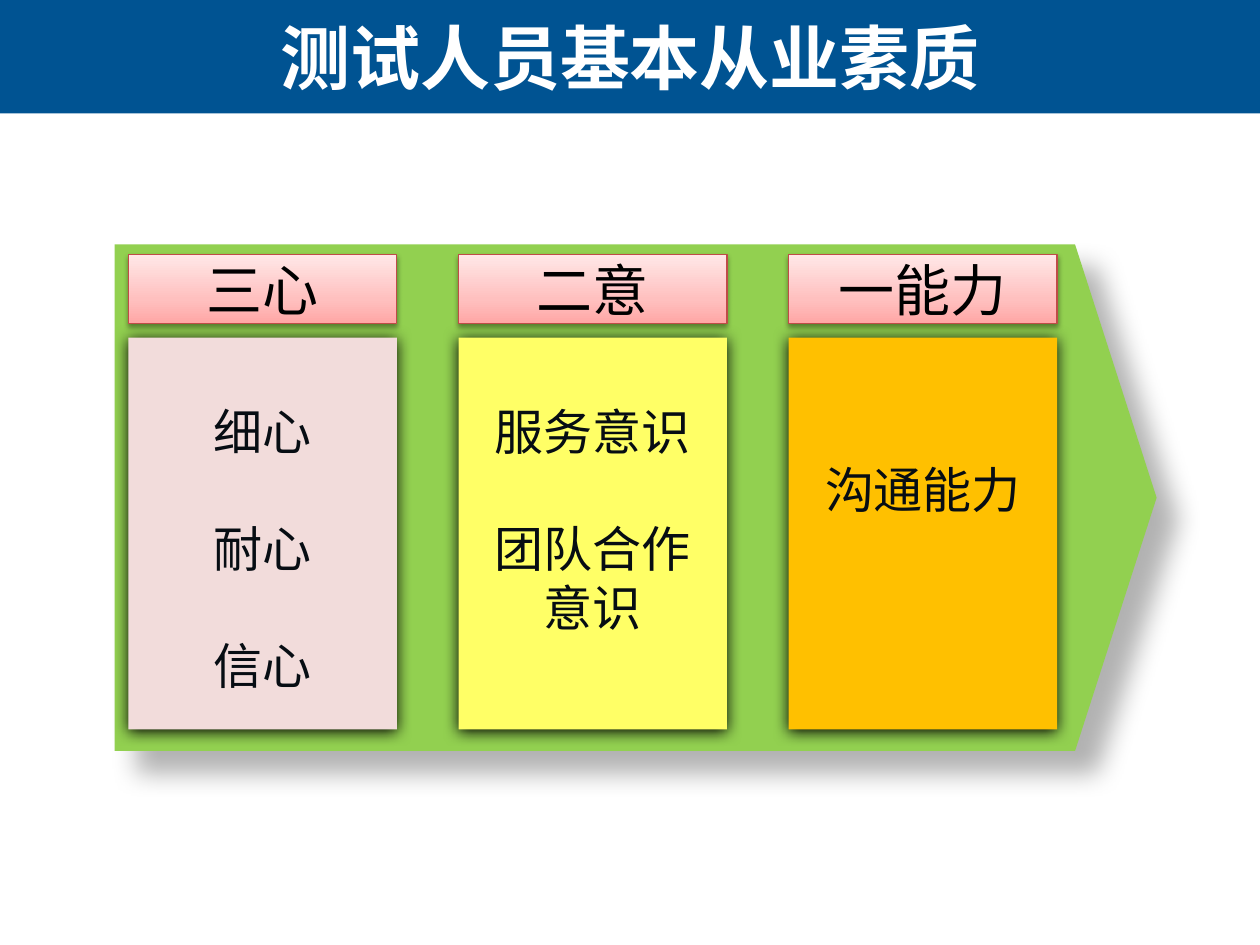
from copy import deepcopy
from dataclasses import dataclass

from lxml.etree import SubElement
from pptx import Presentation
from pptx.dml.color import RGBColor
from pptx.enum.shapes import MSO_SHAPE
from pptx.enum.text import MSO_ANCHOR, PP_ALIGN
from pptx.oxml.ns import qn
from pptx.util import Inches, Pt


@dataclass(frozen=True)
class Shadow:
    opacity: int
    blur: float
    distance: float
    angle: int


@dataclass(frozen=True)
class Theme:
    background: str = "FFFFFF"
    band: str = "005392"
    title: str = "FFFFFF"
    arrow: str = "92D050"
    header_stops: tuple = ((0, "FFA6A5"), (0.35, "FFC0BF"), (1, "FFE7E7"))
    header_line: str = "BF4C48"
    header_text: str = "000000"
    body_text: str = "070D13"
    title_font: str = "Arial"
    header_font: str = "Noto Sans CJK SC"
    body_font: str = "Calibri"
    title_size: int = 40
    header_size: int = 32
    body_size: int = 28
    arrow_shadow: Shadow = Shadow(30, 15, 18, 45)
    header_shadow: Shadow = Shadow(38, 3.1, 1.6, 90)
    panel_shadow: Shadow = Shadow(100, 8.5, 1, 90)


THEME = Theme()
BAND_HEIGHT = 0.9
COLUMN_LEFT, COLUMN_STEP, COLUMN_WIDTH = 1.02, 2.62, 2.13
LINE_HEIGHT = 0.46
COLUMNS = (
    ("三心", "F2DCDB", (("细心",), ("耐心",), ("信心",)), 1),
    ("二意", "FFFF66", (("服务意识",), ("团队合作", "意识")), 1),
    ("一能力", "FFC000", (("沟通能力",),), 2),
)


def add_block(slide, preset, left, top, width, height, color=None):
    shape = slide.shapes.add_shape(
        preset, Inches(left), Inches(top), Inches(width), Inches(height))
    if color:
        shape.fill.solid()
        shape.fill.fore_color.rgb = RGBColor.from_string(color)
    shape.line.fill.background()
    shape.shadow.inherit = False
    return shape


def cast_shadow(shape, shadow):
    effects = shape._element.spPr.find(qn("a:effectLst"))
    outer = SubElement(
        effects, qn("a:outerShdw"), blurRad=str(Pt(shadow.blur)),
        dist=str(Pt(shadow.distance)), dir=str(shadow.angle * 60000),
        algn="ctr", rotWithShape="0")
    color = SubElement(outer, qn("a:srgbClr"), val="000000")
    SubElement(color, qn("a:alpha"), val=str(shadow.opacity * 1000))


def fill_gradient(shape, stops):
    shape.fill.gradient()
    shape.fill.gradient_angle = 90
    stop_list = shape._element.spPr.find(".//" + qn("a:gsLst"))
    stop_list.insert(1, deepcopy(stop_list[0]))
    for stop, (position, color) in zip(shape.fill.gradient_stops, stops):
        stop.position = position
        stop.color.rgb = RGBColor.from_string(color)


def add_text(paragraph, text, font, size, color, bold=False):
    paragraph.alignment = PP_ALIGN.CENTER
    run = paragraph.add_run()
    run.text = text
    run.font.name = font
    run.font.size = Pt(size)
    run.font.bold = bold
    run.font.color.rgb = RGBColor.from_string(color)


def add_title(slide, text):
    band = add_block(slide, MSO_SHAPE.RECTANGLE, 0, 0, 10, BAND_HEIGHT, THEME.band)
    title = slide.shapes.title
    title._element.addprevious(band._element)
    title.left, title.top = Inches(0), Inches(0)
    title.width, title.height = Inches(10), Inches(BAND_HEIGHT)
    title.text_frame.vertical_anchor = MSO_ANCHOR.MIDDLE
    add_text(title.text_frame.paragraphs[0], text, THEME.title_font,
             THEME.title_size, THEME.title, bold=True)


def add_arrow(slide):
    arrow = add_block(slide, MSO_SHAPE.PENTAGON, 0.91, 1.94, 8.27, 4.02, THEME.arrow)
    arrow.adjustments[0] = 0.161
    cast_shadow(arrow, THEME.arrow_shadow)


def add_header(slide, left, text):
    header = add_block(slide, MSO_SHAPE.RECTANGLE, left, 2.02, COLUMN_WIDTH, 0.55)
    fill_gradient(header, THEME.header_stops)
    header.line.color.rgb = RGBColor.from_string(THEME.header_line)
    header.line.width = Pt(0.75)
    cast_shadow(header, THEME.header_shadow)
    frame = header.text_frame
    frame.word_wrap = False
    frame.vertical_anchor = MSO_ANCHOR.MIDDLE
    add_text(frame.paragraphs[0], text, THEME.header_font,
             THEME.header_size, THEME.header_text)


def add_panel(slide, left, color, items, lines_above):
    panel = add_block(slide, MSO_SHAPE.RECTANGLE, left, 2.68, COLUMN_WIDTH, 3.11, color)
    cast_shadow(panel, THEME.panel_shadow)
    frame = panel.text_frame
    frame.word_wrap = True
    frame.vertical_anchor = MSO_ANCHOR.TOP
    frame.margin_top = Inches(0.05 + lines_above * LINE_HEIGHT)
    for item_index, lines in enumerate(items):
        for line_index, line in enumerate(lines):
            first = item_index == 0 and line_index == 0
            paragraph = frame.paragraphs[0] if first else frame.add_paragraph()
            if item_index and line_index == 0:
                paragraph.space_before = Inches(LINE_HEIGHT)
            add_text(paragraph, line, THEME.body_font, THEME.body_size, THEME.body_text)


def main():
    presentation = Presentation()
    presentation.slide_width, presentation.slide_height = Inches(10), Inches(7.5)
    slide = presentation.slides.add_slide(presentation.slide_layouts[5])
    slide.background.fill.solid()
    slide.background.fill.fore_color.rgb = RGBColor.from_string(THEME.background)
    add_title(slide, "测试人员基本从业素质")
    add_arrow(slide)
    for index, (heading, color, items, lines_above) in enumerate(COLUMNS):
        left = COLUMN_LEFT + index * COLUMN_STEP
        add_panel(slide, left, color, items, lines_above)
        add_header(slide, left, heading)
    presentation.save("out.pptx")


if __name__ == "__main__":
    main()
